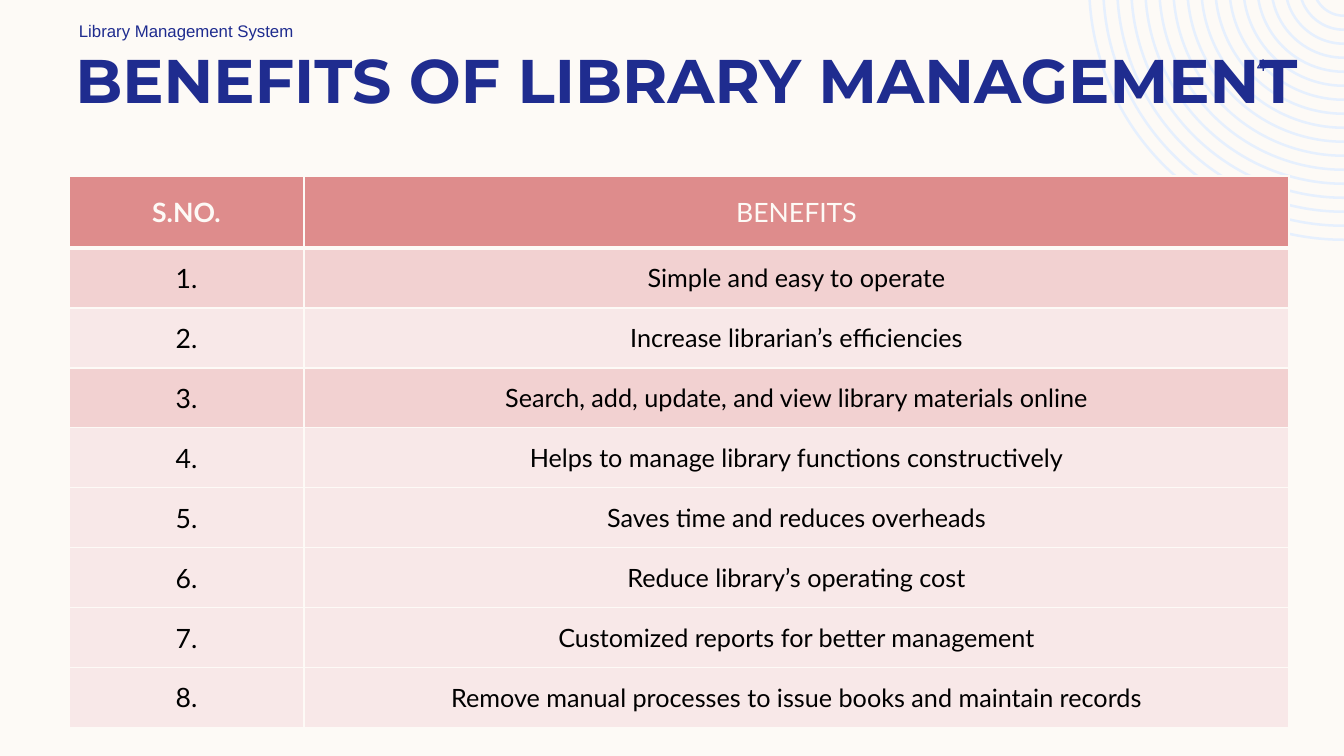
"""Build the slide listing the benefits of library management."""
from math import asin, cos, degrees, sin

from lxml.etree import SubElement
from pptx import Presentation
from pptx.dml.color import RGBColor
from pptx.enum.text import MSO_ANCHOR, PP_ALIGN
from pptx.oxml.ns import qn
from pptx.util import Pt

PX = 914400 / 100.8
CREAM = RGBColor(0xFD, 0xFA, 0xF6)
NAVY = RGBColor(0x1F, 0x2C, 0x8F)
PALE_BLUE = RGBColor(0xE6, 0xF0, 0xFE)
ROSE = RGBColor(0xDE, 0x8C, 0x8C)
PINK = RGBColor(0xF2, 0xD1, 0xD1)
BLUSH = RGBColor(0xF8, 0xE8, 0xE8)
BLACK = RGBColor(0, 0, 0)


def px(*lengths):
    return [round(length * PX) for length in lengths]


def write(frame, text, align, font):
    para = frame.paragraphs[0]
    para.alignment = align
    span = para.add_run()
    span.text = text
    span.font.color.rgb = font["color"]
    for name in ("name", "size", "bold"):
        setattr(span.font, name, font[name])


deck = Presentation()
deck.slide_width, deck.slide_height = px(1344, 756)
page = deck.slides.add_slide(deck.slide_layouts[6])
page.background.fill.solid()
page.background.fill.fore_color.rgb = CREAM

center_x, center_y, band = 1344, -15, 2.5
rings, arcs = [], []
for radius in range(32, 257, 14):
    ends = []
    for edge, direction in ((radius, -1), (radius - band, 1)):
        start = asin(-center_y / edge)
        ends.append([px(center_x - edge * cos(start), center_y + edge * sin(start)),
                     px(center_x, center_y + edge)])
        sweep = 90 - degrees(start)
        first = 90 + sweep if direction < 0 else 90
        arcs.append((px(edge)[0], round(first * 60000), round(direction * sweep * 60000)))
    outer, inner = ends
    rings.append(outer + inner[::-1])
builder = page.shapes.build_freeform(*rings[0][0])
builder.add_line_segments(rings[0][1:], close=True)
for ring in rings[1:]:
    builder.move_to(*ring[0])
    builder.add_line_segments(ring[1:], close=True)
ripples = builder.convert_to_shape()
ripples.shadow.inherit = False
ripples.fill.solid()
ripples.fill.fore_color.rgb = PALE_BLUE
ripples.line.fill.background()

segments = list(ripples._element.iter(qn("a:lnTo")))
curved = [segment for index, segment in enumerate(segments) if index % 3 != 1]
for segment, (reach, first, sweep) in zip(curved, arcs):
    parent = segment.getparent()
    arc = SubElement(parent, qn("a:arcTo"), wR=str(reach), hR=str(reach),
                     stAng=str(first), swAng=str(sweep))
    parent.replace(segment, arc)

title_font = {"name": "Montserrat", "size": Pt(44), "bold": True, "color": NAVY}
small_font = {"name": "Arial", "size": Pt(12), "bold": False, "color": NAVY}
labels = [
    ("BENEFITS OF LIBRARY MANAGEMENT", (30, 37, 1314, 125), PP_ALIGN.CENTER, MSO_ANCHOR.TOP, title_font),
    ("Library Management System", (69, 16, 353, 30), PP_ALIGN.LEFT, MSO_ANCHOR.MIDDLE, small_font),
    ("4", (1207, 50, 109, 30), PP_ALIGN.CENTER, MSO_ANCHOR.MIDDLE, small_font),
]
for text, place, align, anchor, font in labels:
    box = page.shapes.add_textbox(*px(*place))
    box.text_frame.word_wrap = True
    box.text_frame.vertical_anchor = anchor
    write(box.text_frame, text, align, font)

benefits = [
    "Simple and easy to operate",
    "Increase librarian’s efficiencies",
    "Search, add, update, and view library materials online",
    "Helps to manage library functions constructively",
    "Saves time and reduces overheads",
    "Reduce library’s operating cost",
    "Customized reports for better management",
    "Remove manual processes to issue books and maintain records",
]
rows = [("S.NO.", "BENEFITS")]
rows += [(f"{number}.", benefit) for number, benefit in enumerate(benefits, 1)]
row_fills = [ROSE, PINK, BLUSH, PINK] + [BLUSH] * 5
table = page.shapes.add_table(len(rows), 2, *px(69, 176, 1220, 552)).table
for column, width in zip(table.columns, px(235, 985)):
    column.width = width
for row, height in zip(table.rows, px(72, *[60] * len(benefits))):
    row.height = height

inset_x, inset_y = px(11, 5)
cell_format = {
    "margin_left": inset_x, "margin_right": inset_x,
    "margin_top": inset_y, "margin_bottom": inset_y,
    "vertical_anchor": MSO_ANCHOR.MIDDLE,
}
for row_index, texts in enumerate(rows):
    header = row_index == 0
    for column_index, text in enumerate(texts):
        cell = table.cell(row_index, column_index)
        for name, value in cell_format.items():
            setattr(cell, name, value)
        properties = cell._tc.get_or_add_tcPr()
        top_width = 3 if row_index == 1 else 1
        bottom_width = 3 if header else 1
        for side, width in (("L", 1), ("R", 1), ("T", top_width), ("B", bottom_width)):
            border = SubElement(properties, qn(f"a:ln{side}"), w=str(Pt(width)))
            paint = SubElement(border, qn("a:solidFill"))
            SubElement(paint, qn("a:srgbClr"), val=str(CREAM))
        cell.fill.solid()
        cell.fill.fore_color.rgb = row_fills[row_index]
        write(cell.text_frame, text, PP_ALIGN.CENTER, {
            "name": "Lato",
            "size": Pt(19 if header or column_index == 0 else 18),
            "bold": header and column_index == 0,
            "color": CREAM if header else BLACK,
        })

deck.save("out.pptx")
